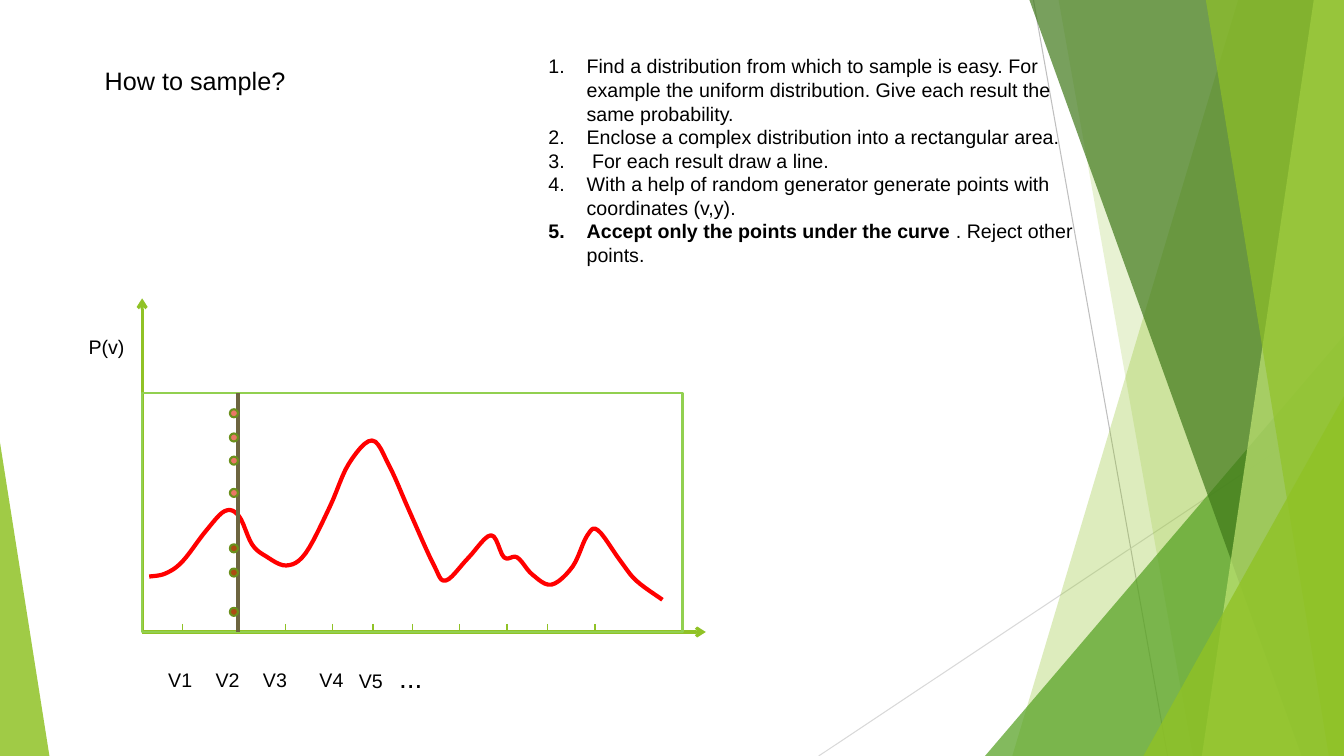
from collections import namedtuple
from lxml import etree
from pptx import Presentation
from pptx import util as u
from pptx.dml.color import RGBColor
from pptx.enum import shapes, text
from pptx.oxml.ns import qn

W, H = 13.33, 7.5
GREEN, BLACK = "90C226", "000000"
SHAPE = shapes.MSO_SHAPE

Band = namedtuple("Band", "top_left bottom_left fill alpha")
Wedge = namedtuple("Wedge", "left top width apex fill alpha")

HAIRLINES = [((10.25, 0), (11.58, H), "BFBFBF"), ((W, 4.03), (8.12, H), "D9D9D9")]
FACETS = [
    Band(12.28, 10.04, GREEN, 30),
    Band(10.5, 11.83, GREEN, 20),
    Wedge(9.77, 3.33, 3.56, 1, "54A021", 72),
    Band(10.21, 12.91, "3F7819", 70),
    Band(13.03, 11.92, "C0E474", 70),
    Band(11.96, 13.18, GREEN, 65),
    Wedge(11.34, 3.93, 1.99, 1, GREEN, 80),
    Wedge(0, 4.39, 0.49, 0, GREEN, 85),
]

ORIGIN_X, AXIS_Y = 1.41, 6.27
AXIS_TOP, AXIS_RIGHT = 2.96, 7
BOX_TOP, BOX_WIDTH = 3.9, 5.36
TICKS, TICK_HEIGHT = [1.81, 2.36, 2.83, 3.3, 3.7, 4.09, 4.56, 5.03, 5.43, 5.9], 0.08
CURVE_KNOTS = [
    (1.48, 5.72), (1.64, 5.69), (1.81, 5.57), (2.04, 5.27), (2.23, 5.07),
    (2.37, 5.12), (2.5, 5.4), (2.64, 5.52), (2.84, 5.61), (3.03, 5.49),
    (3.27, 5.03), (3.46, 4.6), (3.69, 4.37), (3.86, 4.62), (4.06, 5.07),
    (4.3, 5.6), (4.42, 5.76), (4.64, 5.54), (4.87, 5.31), (5, 5.53),
    (5.13, 5.53), (5.28, 5.7), (5.47, 5.8), (5.68, 5.62), (5.82, 5.32),
    (5.93, 5.26), (6.15, 5.56), (6.31, 5.76), (6.57, 5.95),
]
STEPS_PER_KNOT = 6
SAMPLE_X, DOT = 2.36, 0.08
REJECTED = ("EB7766", [4.06, 4.3, 4.53, 4.85])
ACCEPTED = ("AD4C12", [5.4, 5.64, 6.03])

VALUE_LABELS = {"V1": 1.57, "V2": 2.04, "V3": 2.51, "V4": 3.07}
LABEL_TOP, LABEL_HEIGHT = 6.58, 0.34
TITLE = "How to sample?"
STEPS = [
    [("Find a distribution from which to sample is easy. For example the uniform "
      "distribution. Give each result the same probability.", {})],
    [("Enclose a complex distribution into a rectangular area.", {})],
    [(" For each result draw a line.", {})],
    [("With a help of random generator generate points with coordinates (v,y).", {})],
    [("Accept only the points under the curve", {"bold": True}),
     (" . Reject other points.", {})],
]

prs = Presentation()
prs.slide_width, prs.slide_height = u.Inches(W), u.Inches(H)
s = prs.slides.add_slide(prs.slide_layouts[6])


def inches(*values):
    return [u.Inches(v) for v in values]


def color(hex_code):
    return RGBColor.from_string(hex_code)


def catmull_rom(a, b, c, d, t):
    return b + t / 2 * (c - a + t * (2 * a - 5 * b + 4 * c - d + t * (3 * (b - c) + d - a)))


def smooth_curve(knots, steps):
    padded = [knots[0], *knots, knots[-1]]
    points = []
    for window in zip(padded, padded[1:], padded[2:], padded[3:]):
        xs, ys = zip(*window)
        for i in range(steps):
            points.append((catmull_rom(*xs, i / steps), catmull_rom(*ys, i / steps)))
    return points + [knots[-1]]


def style(sp, fill=None, alpha=None, line=None, width=1.5):
    sp.shadow.inherit = False
    if fill:
        sp.fill.solid()
        sp.fill.fore_color.rgb = color(fill)
    else:
        sp.fill.background()
    if alpha:
        clr = sp.element.spPr.find(f"{qn('a:solidFill')}/{qn('a:srgbClr')}")
        etree.SubElement(clr, qn("a:alpha"), val=str(alpha * 1000))
    if line:
        sp.line.color.rgb = color(line)
        sp.line.width = u.Pt(width)
    else:
        sp.line.fill.background()


def add_shape(kind, *box, **fmt):
    sp = s.shapes.add_shape(kind, *inches(*box))
    style(sp, **fmt)
    return sp


def add_path(points, close, **fmt):
    start, *rest = [inches(*point) for point in points]
    builder = s.shapes.build_freeform(*start)
    builder.add_line_segments(rest, close=close)
    style(builder.convert_to_shape(), **fmt)


def add_line(start, end, hex_code, width, arrow=False):
    c = s.shapes.add_connector(shapes.MSO_CONNECTOR.STRAIGHT, *inches(*start, *end))
    c.line.color.rgb = color(hex_code)
    c.line.width = u.Pt(width)
    spPr = c.element.spPr
    if arrow:
        etree.SubElement(spPr.find(qn("a:ln")), qn("a:tailEnd"), type="arrow")
    etree.SubElement(spPr, qn("a:effectLst"))


def add_text(content, *box, size=14, numbered=False, tab=None):
    paragraphs = [[(content, {})]] if isinstance(content, str) else content
    tf = s.shapes.add_textbox(*inches(*box)).text_frame
    tf.word_wrap = True
    tf.auto_size = text.MSO_AUTO_SIZE.SHAPE_TO_FIT_TEXT
    for i, runs in enumerate(paragraphs):
        p = tf.add_paragraph() if i else tf.paragraphs[0]
        pPr = p._p.get_or_add_pPr()
        if numbered:
            pPr.set("marL", str(u.Inches(0.38)))
            pPr.set("indent", str(u.Inches(-0.38)))
            etree.SubElement(pPr, qn("a:buFont"), typeface="+mj-lt")
            etree.SubElement(pPr, qn("a:buAutoNum"), type="arabicPeriod")
        if tab:
            tabs = etree.SubElement(pPr, qn("a:tabLst"))
            etree.SubElement(tabs, qn("a:tab"), pos=str(u.Inches(tab)), algn="l")
        for words, fmt in runs:
            r = p.add_run()
            r.text = words
            r.font.name = "Arial"
            r.font.size = u.Pt(fmt.get("size", size))
            r.font.bold = fmt.get("bold", False)
            r.font.color.rgb = color(BLACK)


def draw_backdrop():
    for start, end, hex_code in HAIRLINES:
        add_line(start, end, hex_code, 0.75)
    for f in FACETS:
        paint = {"fill": f.fill, "alpha": f.alpha}
        if isinstance(f, Band):
            add_path([(f.top_left, 0), (W, 0), (W, H), (f.bottom_left, H)], True, **paint)
        else:
            box = (f.left, f.top, f.width, H - f.top)
            add_shape(SHAPE.ISOSCELES_TRIANGLE, *box, **paint).adjustments[0] = f.apex


def draw_plot():
    add_path(smooth_curve(CURVE_KNOTS, STEPS_PER_KNOT), False, line="FF0000", width=3)
    for end in [(ORIGIN_X, AXIS_TOP), (AXIS_RIGHT, AXIS_Y)]:
        add_line((ORIGIN_X, AXIS_Y), end, GREEN, 2.25, arrow=True)
    for x in TICKS:
        add_line((x, AXIS_Y - TICK_HEIGHT), (x, AXIS_Y), GREEN, 1)
    box = (ORIGIN_X, BOX_TOP, BOX_WIDTH, AXIS_Y - BOX_TOP)
    add_shape(SHAPE.RECTANGLE, *box, line="92D050")
    add_line((SAMPLE_X, AXIS_Y), (SAMPLE_X, BOX_TOP), "6D6540", 3)
    for fill, tops in (REJECTED, ACCEPTED):
        for top in tops:
            add_shape(SHAPE.OVAL, SAMPLE_X - DOT, top, DOT, DOT, fill=fill, line="6B901C")


def draw_text():
    for label, left in VALUE_LABELS.items():
        add_text(label, left, LABEL_TOP, 0.55, LABEL_HEIGHT)
    add_text([[("V5\t", {}), ("...", {"size": 20})]], 3.46, 6.5, 1.02, 0.44, tab=0.4)
    add_text("P(v)", 0.78, 3.27, 0.71, LABEL_HEIGHT)
    add_text(TITLE, 0.94, 0.6, 6.61, 0.4, size=18)
    add_text(STEPS, 5.34, 0.49, 5.65, 2.22, numbered=True)


if __name__ == "__main__":
    draw_backdrop()
    draw_plot()
    draw_text()
    prs.save("out.pptx")
